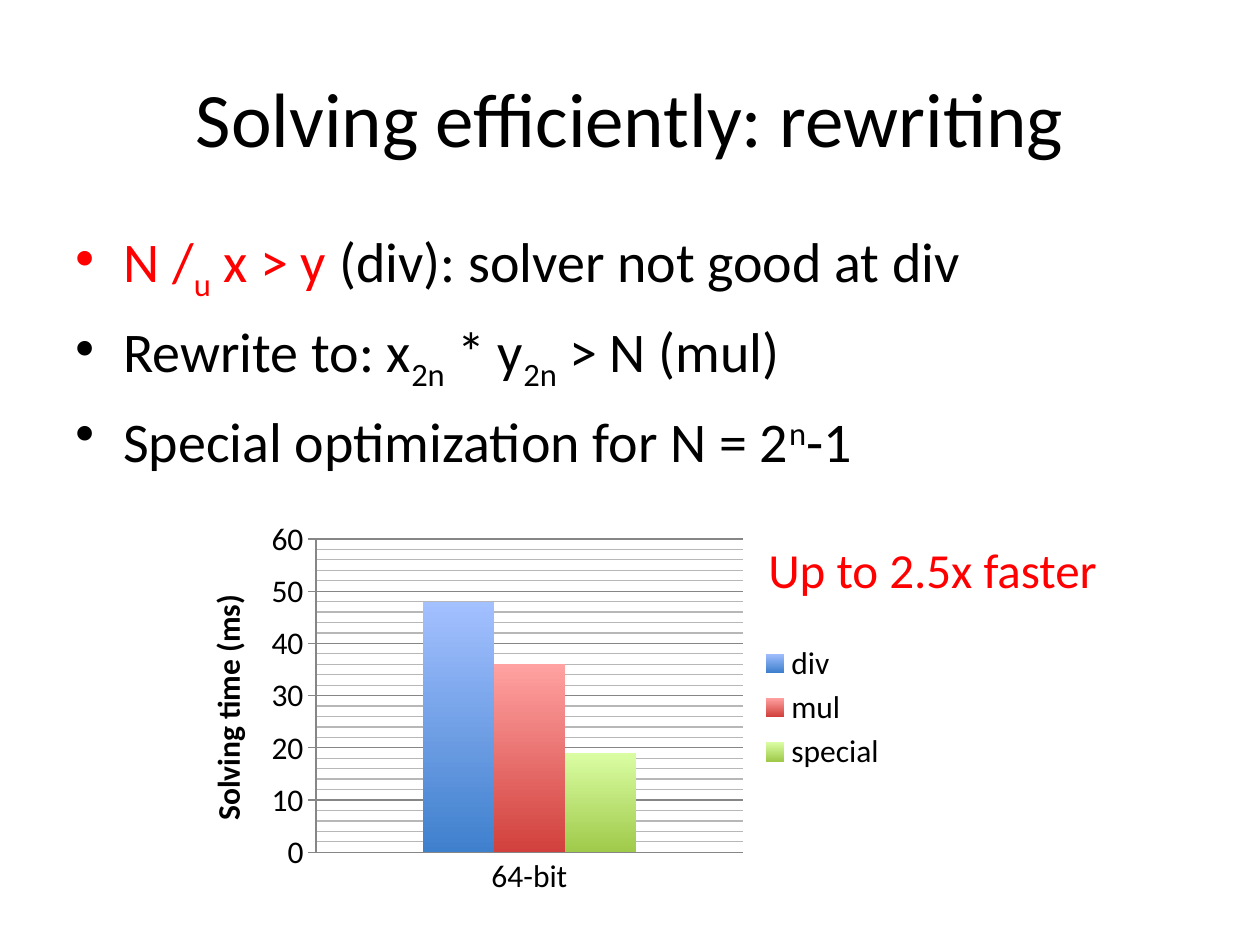
import copy
import lxml.etree
import pptx
import pptx.chart.data
import pptx.dml.color
import pptx.enum.chart
import pptx.enum.text
import pptx.oxml.ns
import pptx.util
from dataclasses import dataclass

Inches, Pt = pptx.util.Inches, pptx.util.Pt
RGB = pptx.dml.color.RGBColor.from_string
qn = pptx.oxml.ns.qn


@dataclass(frozen=True)
class Theme:
    font: str = "Calibri"
    text: str = "000000"
    accent: str = "FF0000"
    axis: str = "868686"
    minor_grid: str = "B7B7B7"
    title_size: int = 44
    body_size: int = 32
    callout_size: int = 28
    chart_size: int = 18


THEME = Theme()
SUB, SUP = -25, 30

TITLE = "Solving efficiently: rewriting"
BULLETS = [
    [("N /", THEME.accent, 0), ("u", THEME.accent, SUB), (" x > y ", THEME.accent, 0),
     ("(div): solver not good at div", THEME.text, 0)],
    [("Rewrite to: x", THEME.text, 0), ("2n", THEME.text, SUB), (" * y", THEME.text, 0),
     ("2n", THEME.text, SUB), (" > N (mul)", THEME.text, 0)],
    [("Special optimization for N = 2", THEME.text, 0), ("n", THEME.text, SUP),
     ("-1", THEME.text, 0)],
]
CALLOUT = "Up to 2.5x faster"
CATEGORY = "64-bit"
VALUE_TITLE = "Solving time (ms)"
SOLVERS = [
    ("div", 48, "A3C0FF", "3F80CD"),
    ("mul", 36, "FFA2A1", "D1403C"),
    ("special", 19, "DAFDA3", "9FCA4A"),
]
PLOT_AREA = {"x": 0.18, "y": 0.07, "w": 0.6, "h": 0.8}


def style(font, size, color=THEME.text, bold=False):
    font.name, font.size, font.bold = THEME.font, Pt(size), bold
    font.color.rgb = RGB(color)


def box(*inches):
    return [Inches(length) for length in inches]


def add_title(slide):
    title = slide.shapes.title
    title.left, title.top, title.width, title.height = box(0.5, 0.3, 9, 1.25)
    title.text_frame.text = TITLE
    title.text_frame.vertical_anchor = pptx.enum.text.MSO_ANCHOR.MIDDLE
    heading = title.text_frame.paragraphs[0]
    heading.alignment = pptx.enum.text.PP_ALIGN.CENTER
    style(heading.font, THEME.title_size)


def add_bullets(slide):
    frame = slide.shapes.add_textbox(*box(0.5, 1.75, 9, 4.95)).text_frame
    frame.word_wrap = True
    for index, pieces in enumerate(BULLETS):
        bullet = frame.add_paragraph() if index else frame.paragraphs[0]
        bullet.space_before = Pt(7.7)
        bullet.font.name, bullet.font.size = THEME.font, Pt(THEME.body_size)
        properties = bullet._p.get_or_add_pPr()
        properties.set("marL", str(Inches(0.38)))
        properties.set("indent", str(-Inches(0.38)))
        marker = lxml.etree.Element(qn("a:buChar"), char="•")
        properties.find(qn("a:defRPr")).addprevious(marker)
        for words, color, baseline in pieces:
            run = bullet.add_run()
            run.text = words
            style(run.font, THEME.body_size, color)
            if baseline:
                run.font._element.set("baseline", str(baseline * 1000))


def place_plot(chart):
    plot_area = chart._chartSpace.chart.plotArea
    layout = plot_area.find(qn("c:layout"))
    if layout is None:
        layout = lxml.etree.Element(qn("c:layout"))
        plot_area.insert(0, layout)
    manual = lxml.etree.SubElement(layout, qn("c:manualLayout"))
    settings = {"layoutTarget": "inner", "xMode": "edge", "yMode": "edge", **PLOT_AREA}
    for name, value in settings.items():
        lxml.etree.SubElement(manual, qn("c:" + name), val=str(value))


def color_minor_gridlines(axis):
    line_format = copy.deepcopy(axis.major_gridlines._xAx.find(
        qn("c:majorGridlines")).find(qn("c:spPr")))
    next(line_format.iter(qn("a:srgbClr"))).set("val", THEME.minor_grid)
    axis._element.find(qn("c:minorGridlines")).append(line_format)


def add_timing_chart(slide):
    timings = pptx.chart.data.CategoryChartData()
    timings.categories = [CATEGORY]
    for name, value, _, _ in SOLVERS:
        timings.add_series(name, [value])
    chart = slide.shapes.add_chart(
        pptx.enum.chart.XL_CHART_TYPE.COLUMN_CLUSTERED,
        *box(1.49, 4.06, 5.65, 3.11), timings).chart
    style(chart.font, THEME.chart_size)
    chart.has_title = False
    chart.has_legend = True
    chart.legend.position = pptx.enum.chart.XL_LEGEND_POSITION.RIGHT
    chart.legend.include_in_layout = False
    place_plot(chart)

    plot = chart.plots[0]
    plot.gap_width, plot.overlap, plot.vary_by_categories = 300, 0, False
    for series, (_, _, top, bottom) in zip(plot.series, SOLVERS):
        fill = series.format.fill
        fill.gradient()
        fill.gradient_angle = 270
        for stop, color, position in zip(fill.gradient_stops, (top, bottom), (0, 1)):
            stop.color.rgb = RGB(color)
            stop.position = position

    times, bits = chart.value_axis, chart.category_axis
    times.minimum_scale, times.maximum_scale = 0, 60
    times.major_unit, times.minor_unit = 10, 2
    times.has_major_gridlines = times.has_minor_gridlines = True
    times.major_tick_mark = pptx.enum.chart.XL_TICK_MARK.OUTSIDE
    bits.major_tick_mark = pptx.enum.chart.XL_TICK_MARK.NONE
    for part in (times, bits, times.major_gridlines):
        part.format.line.color.rgb = RGB(THEME.axis)
        part.format.line.width = Pt(0.75)
    color_minor_gridlines(times)
    times.axis_title.text_frame.text = VALUE_TITLE
    style(times.axis_title.text_frame.paragraphs[0].font, THEME.chart_size, bold=True)


def add_callout(slide):
    frame = slide.shapes.add_textbox(*box(6, 4.23, 2.86, 0.57)).text_frame
    frame.word_wrap = False
    frame.auto_size = pptx.enum.text.MSO_AUTO_SIZE.SHAPE_TO_FIT_TEXT
    frame.text = CALLOUT
    style(frame.paragraphs[0].font, THEME.callout_size, THEME.accent)


def main():
    deck = pptx.Presentation()
    deck.slide_width, deck.slide_height = box(10, 7.5)
    slide = deck.slides.add_slide(deck.slide_layouts.get_by_name("Title Only"))
    add_title(slide)
    add_bullets(slide)
    add_timing_chart(slide)
    add_callout(slide)
    deck.save("out.pptx")


if __name__ == "__main__":
    main()
